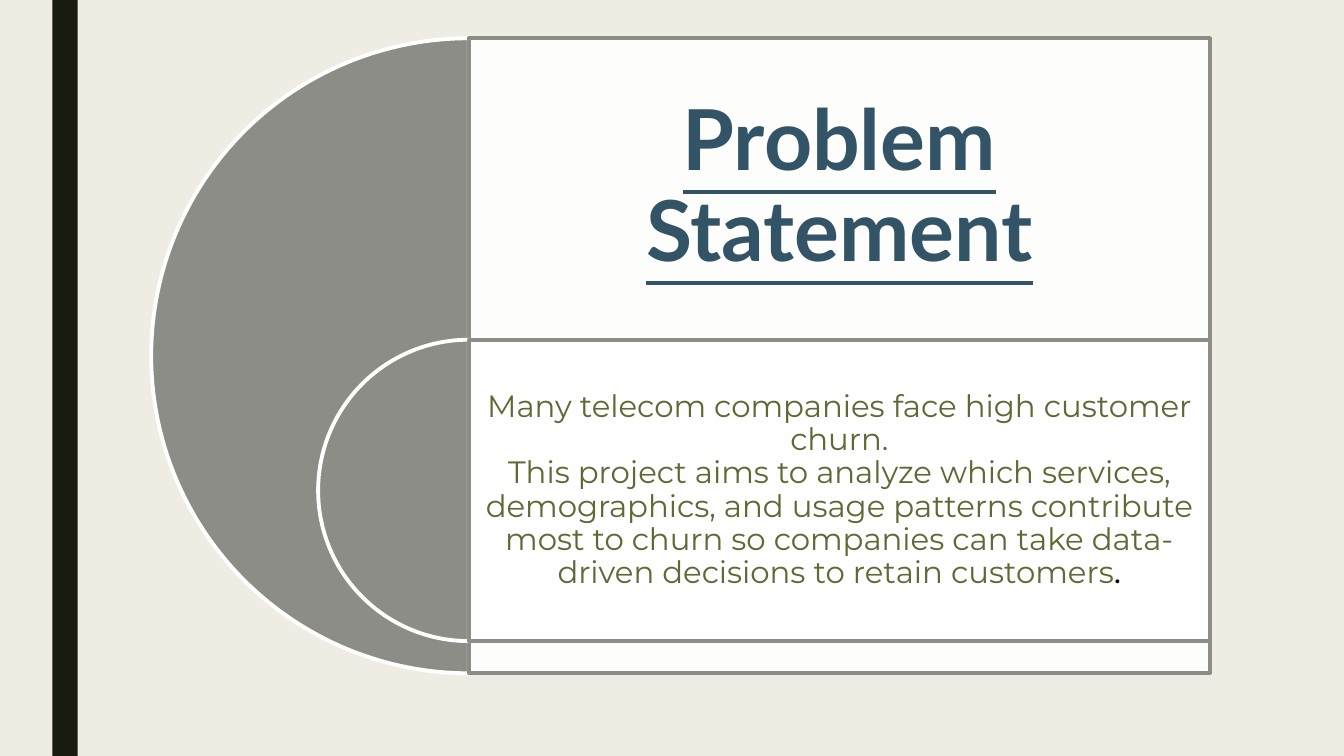
import lxml.etree
import pptx
import pptx.dml.color
import pptx.enum.shapes
import pptx.enum.text
import pptx.oxml.ns
import pptx.util

RGBColor = pptx.dml.color.RGBColor
Inches = pptx.util.Inches
Pt = pptx.util.Pt
MSO_SHAPE = pptx.enum.shapes.MSO_SHAPE

BACKGROUND = RGBColor(0xEF, 0xED, 0xE3)
DARK = RGBColor(0x19, 0x1B, 0x0E)
GRAY = RGBColor(0x8C, 0x8D, 0x86)
WHITE = RGBColor(0xFF, 0xFF, 0xFF)
BLACK = RGBColor(0x00, 0x00, 0x00)
BLUE = RGBColor(0x33, 0x53, 0x66)
OLIVE = RGBColor(0x60, 0x68, 0x36)

# Grid: one panel column, two text rows below a shared top edge
SLIDE_WIDTH, SLIDE_HEIGHT = 13.33, 7.5
PANEL_LEFT, PANEL_WIDTH = 4.65, 7.35
TOP, ROW_HEIGHT = 0.38, 2.99
FULL_HEIGHT = 6.3
ROW_TOPS = [TOP + row * ROW_HEIGHT for row in range(2)]

STATEMENT = (
    "Many telecom companies face high customer churn.\v"
    "This project aims to analyze which services, demographics, and usage "
    "patterns contribute most to churn so companies can take data-driven "
    "decisions to retain customers"
)


def add_filled_shape(slide, kind, box, fill, line=None):
    shape = slide.shapes.add_shape(kind, *map(Inches, box))
    shape.shadow.inherit = False
    shape.fill.solid()
    shape.fill.fore_color.rgb = fill
    if line is None:
        shape.line.fill.background()
    else:
        shape.line.color.rgb = line
        shape.line.width = Pt(2.75)
    return shape


def add_half_disc(slide, top, diameter):
    """Left half of a disc centred on the panel's left edge."""
    box = (PANEL_LEFT - diameter / 2, top, diameter, diameter)
    disc = add_filled_shape(slide, MSO_SHAPE.PIE, box, GRAY, WHITE)
    disc.adjustments[0] = 54
    disc.adjustments[1] = 162


def add_panel(slide, top, height):
    """White panel at 90% opacity."""
    box = (PANEL_LEFT, top, PANEL_WIDTH, height)
    panel = add_filled_shape(slide, MSO_SHAPE.RECTANGLE, box, WHITE, GRAY)
    color = panel.element.spPr.find(
        pptx.oxml.ns.qn("a:solidFill") + "/" + pptx.oxml.ns.qn("a:srgbClr"))
    lxml.etree.SubElement(color, pptx.oxml.ns.qn("a:alpha"), val="90000")


def place_text(shape, top, inset, text):
    """Fit a text shape to a panel row and return its centred paragraph."""
    shape.left, shape.top = Inches(PANEL_LEFT), Inches(top)
    shape.width, shape.height = Inches(PANEL_WIDTH), Inches(ROW_HEIGHT)
    frame = shape.text_frame
    frame.word_wrap = True
    frame.auto_size = pptx.enum.text.MSO_AUTO_SIZE.NONE
    frame.vertical_anchor = pptx.enum.text.MSO_ANCHOR.MIDDLE
    frame.margin_left = frame.margin_right = Inches(inset)
    frame.margin_top = frame.margin_bottom = Inches(inset)
    paragraph = frame.paragraphs[0]
    paragraph.text = text
    paragraph.alignment = pptx.enum.text.PP_ALIGN.CENTER
    paragraph.line_spacing = 0.9
    paragraph.space_before = Pt(0)
    return paragraph


def format_run(run, size, font, color):
    run.font.size = Pt(size)
    run.font.name = font
    run.font.color.rgb = color


def main():
    presentation = pptx.Presentation()
    presentation.slide_width = Inches(SLIDE_WIDTH)
    presentation.slide_height = Inches(SLIDE_HEIGHT)
    title_only = presentation.slide_layouts.get_by_name("Title Only")
    slide = presentation.slides.add_slide(title_only)
    slide.background.fill.solid()
    slide.background.fill.fore_color.rgb = BACKGROUND

    # Side bar
    add_filled_shape(slide, MSO_SHAPE.RECTANGLE,
                     (0.52, 0, 0.25, SLIDE_HEIGHT), DARK)

    # Nested half discs, each with its panel
    for top, height in ((ROW_TOPS[0], FULL_HEIGHT), (ROW_TOPS[1], ROW_HEIGHT)):
        add_half_disc(slide, top, height)
        add_panel(slide, top, height)

    # Title, brought in front of the panels
    title = slide.shapes.title
    title.element.getparent().append(title.element)
    heading = place_text(title, ROW_TOPS[0], 0.25, "Problem Statement")
    for run in heading.runs:
        format_run(run, 60, "Lato", BLUE)
        run.font.bold = True
        run.font.underline = True

    # Statement with its closing full stop
    text_box = slide.shapes.add_textbox(0, 0, 0, 0)
    statement = place_text(text_box, ROW_TOPS[1], 0.09, STATEMENT)
    for run in statement.runs:
        format_run(run, 22, "Montserrat", OLIVE)
    full_stop = statement.add_run()
    full_stop.text = "."
    format_run(full_stop, 22, "Lato", BLACK)

    presentation.save("out.pptx")


if __name__ == "__main__":
    main()
